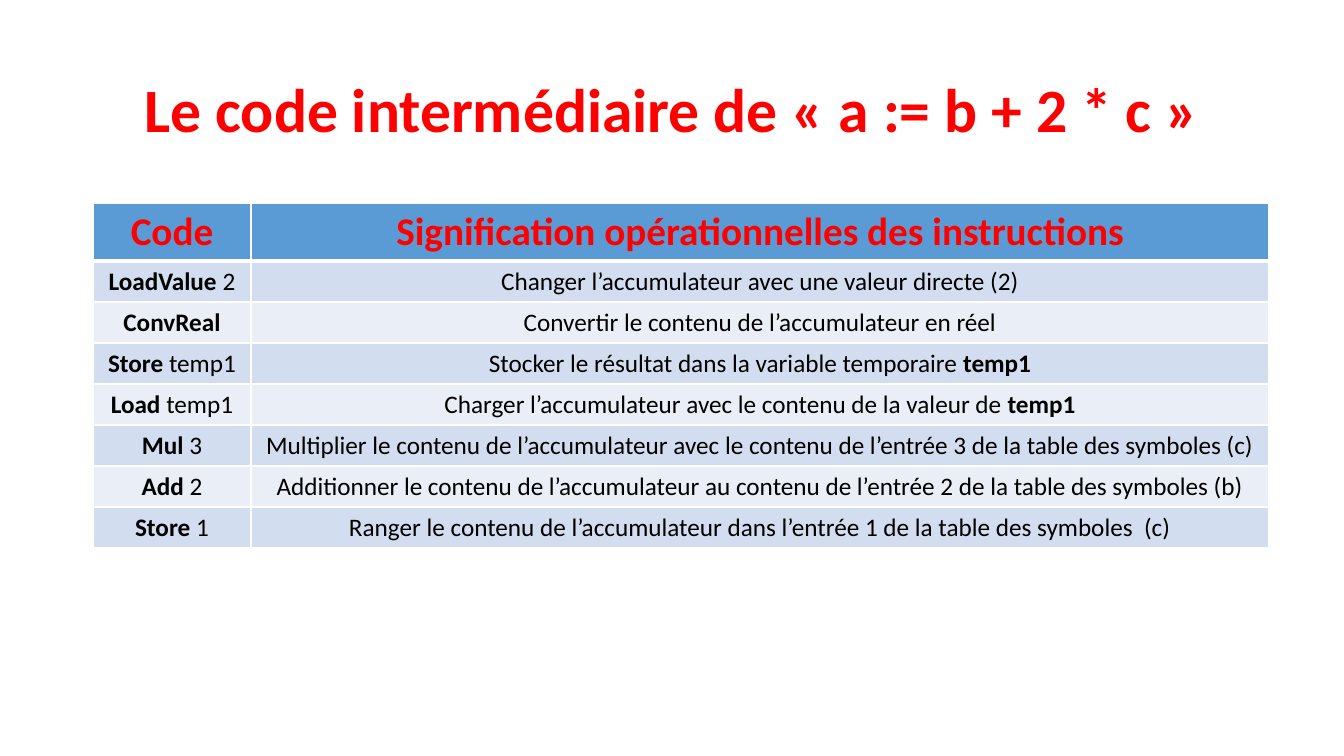
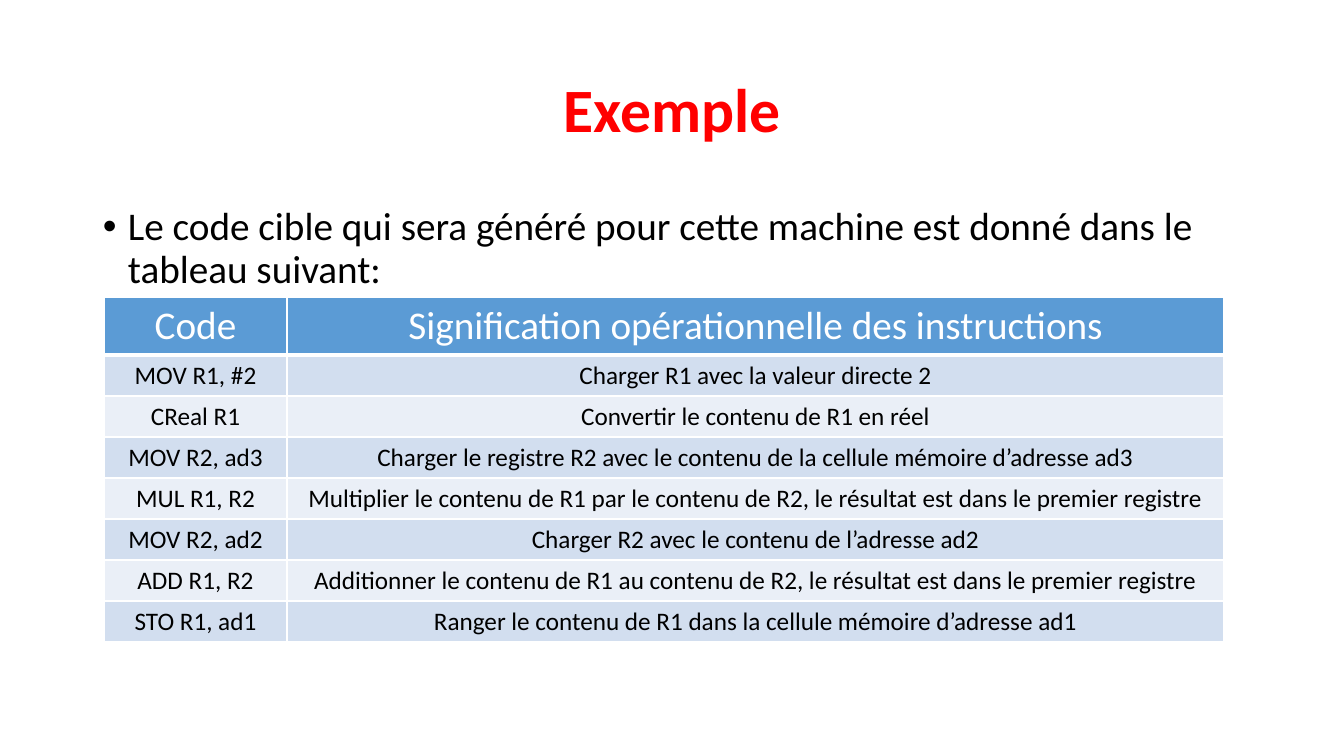
from dataclasses import dataclass

from lxml.etree import SubElement
from pptx import Presentation
from pptx.dml.color import RGBColor
from pptx.enum.text import MSO_ANCHOR, PP_ALIGN
from pptx.oxml.ns import qn
from pptx.slide import Slide
from pptx.table import _Cell
from pptx.text.text import TextFrame, _Paragraph
from pptx.util import Emu, Pt

PIXELS_PER_INCH = 100.8
FONT = "Calibri"
RED, WHITE, BLACK = "FF0000", "FFFFFF", "000000"
HEADER_BLUE = "5B9BD5"
BAND_FILLS = ("D2DEEF", "EAEFF7")
TITLE_SIZE, LEAD_SIZE, CELL_SIZE = 44, 28, 18
HEADER_HEIGHT, ROW_HEIGHT = 58, 41
THIN_RULE, HEADER_RULE = 1, 3


@dataclass(frozen=True)
class Box:
    """A place on the slide, in pixels."""
    left: int
    top: int
    width: int
    height: int

    def emu(self) -> tuple[Emu, Emu, Emu, Emu]:
        """Return the place in EMU."""
        return px(self.left), px(self.top), px(self.width), px(self.height)


@dataclass(frozen=True)
class Instruction:
    """One line of code and what it does; ** marks off bold words."""
    code: str
    meaning: str


@dataclass(frozen=True)
class CodeTable:
    """A table of instructions under a header row."""
    left: int
    top: int
    column_widths: tuple[int, int]
    header: Instruction
    header_color: str
    instructions: tuple[Instruction, ...]


@dataclass(frozen=True)
class CodeSlide:
    """A titled slide with a code table and perhaps a lead sentence."""
    title: str
    table: CodeTable
    lead: str = ""


TITLE_BOX = Box(93, 40, 1159, 146)
LEAD_BOX = Box(93, 202, 1159, 90)

SLIDES = (
    CodeSlide(
        title="**Le code intermédiaire de «\u00a0a := b + 2 * c\u00a0»**",
        table=CodeTable(
            93, 203, (158, 1018),
            Instruction("**Code**", "**Signification opérationnelles des instructions**"),
            RED,
            (
                Instruction("**LoadValue **2", "Changer l’accumulateur avec une valeur directe (2)"),
                Instruction("**ConvReal**", "Convertir le contenu de l’accumulateur en réel"),
                Instruction("**Store **temp1",
                            "Stocker le résultat dans la variable temporaire **temp1**"),
                Instruction("**Load **temp1",
                            "Charger l’accumulateur avec le contenu de la valeur de **temp1**"),
                Instruction("**Mul **3", "Multiplier le contenu de l’accumulateur avec le contenu "
                                         "de l’entrée 3 de la table des symboles (c)"),
                Instruction("**Add **2", "Additionner le contenu de l’accumulateur au contenu "
                                         "de l’entrée 2 de la table des symboles (b)"),
                Instruction("**Store **1", "Ranger le contenu de l’accumulateur dans l’entrée 1 "
                                           "de la table des symboles  (c)"),
            ),
        ),
    ),
    CodeSlide(
        title="**Exemple**",
        lead="Le code cible qui sera généré pour cette machine est donné dans le tableau suivant:",
        table=CodeTable(
            104, 297, (183, 937),
            Instruction("Code", "Signification opérationnelle des instructions"),
            WHITE,
            (
                Instruction("MOV R1, #2", "Charger R1 avec la valeur directe 2"),
                Instruction("CReal R1", "Convertir le contenu de R1 en réel"),
                Instruction("MOV R2, ad3", "Charger le registre R2 avec le contenu "
                                           "de la cellule mémoire d’adresse ad3"),
                Instruction("MUL R1, R2", "Multiplier le contenu de R1 par le contenu de R2, "
                                          "le résultat est dans le premier registre"),
                Instruction("MOV R2, ad2", "Charger R2 avec le contenu de l’adresse ad2"),
                Instruction("ADD R1, R2", "Additionner le contenu de R1 au contenu de R2, "
                                          "le résultat est dans le premier registre"),
                Instruction("STO R1, ad1", "Ranger le contenu de R1 dans la cellule mémoire "
                                           "d’adresse ad1"),
            ),
        ),
    ),
)


def px(pixels: float) -> Emu:
    """Turn pixels into EMU."""
    return Emu(round(pixels * 914400 / PIXELS_PER_INCH))


def rgb(color: str) -> RGBColor:
    """Turn a hex string into a colour."""
    return RGBColor.from_string(color)


def write(frame: TextFrame, text: str, *, size: float, color: str = BLACK,
          align: PP_ALIGN = PP_ALIGN.CENTER, line_spacing: float = 1.0,
          space_before: float = 0) -> _Paragraph:
    """Write one paragraph, with the words between ** marks in bold."""
    paragraph = frame.paragraphs[0]
    paragraph.alignment = align
    paragraph.line_spacing = line_spacing
    paragraph.space_before = Pt(space_before)
    for position, words in enumerate(text.split("**")):
        if words:
            run = paragraph.add_run()
            run.text = words
            run.font.name = FONT
            run.font.size = Pt(size)
            run.font.bold = position % 2 == 1
            run.font.color.rgb = rgb(color)
    return paragraph


def add_bullet(paragraph: _Paragraph, indent: int) -> None:
    """Give a paragraph a round bullet with a hanging indent."""
    properties = paragraph._p.get_or_add_pPr()
    properties.set("marL", str(px(indent)))
    properties.set("indent", str(-px(indent)))
    SubElement(properties, qn("a:buFont")).set("typeface", "Arial")
    SubElement(properties, qn("a:buChar")).set("char", "•")


def add_title(slide: Slide, title: str) -> None:
    """Place and fill the title placeholder."""
    heading = slide.shapes.title
    heading.left, heading.top, heading.width, heading.height = TITLE_BOX.emu()
    heading.text_frame.vertical_anchor = MSO_ANCHOR.MIDDLE
    write(heading.text_frame, title, size=TITLE_SIZE, color=RED, line_spacing=0.9)


def add_lead(slide: Slide, lead: str) -> None:
    """Add the bulleted sentence that introduces the table."""
    frame = slide.shapes.add_textbox(*LEAD_BOX.emu()).text_frame
    frame.word_wrap = True
    sentence = write(frame, lead, size=LEAD_SIZE, align=PP_ALIGN.LEFT,
                     line_spacing=0.9, space_before=10)
    add_bullet(sentence, 25)


def add_borders(cell: _Cell, top: float, bottom: float) -> None:
    """Draw white rules round a cell; widths are in points."""
    properties = cell._tc.get_or_add_tcPr()
    widths = {"lnL": THIN_RULE, "lnR": THIN_RULE, "lnT": top, "lnB": bottom}
    for side, width in widths.items():
        rule = SubElement(properties, qn(f"a:{side}"), w=str(Pt(width)))
        fill = SubElement(rule, qn("a:solidFill"))
        SubElement(fill, qn("a:srgbClr")).set("val", WHITE)


def add_code_table(slide: Slide, content: CodeTable) -> None:
    """Add a header row and one banded row for each instruction."""
    lines = (content.header, *content.instructions)
    height = HEADER_HEIGHT + ROW_HEIGHT * len(content.instructions)
    place = Box(content.left, content.top, sum(content.column_widths), height)
    table = slide.shapes.add_table(len(lines), 2, *place.emu()).table
    for column, width in zip(table.columns, content.column_widths):
        column.width = px(width)
    for index, line in enumerate(lines):
        is_header = index == 0
        table.rows[index].height = px(HEADER_HEIGHT if is_header else ROW_HEIGHT)
        fill = HEADER_BLUE if is_header else BAND_FILLS[(index - 1) % 2]
        for cell, text in zip(table.rows[index].cells, (line.code, line.meaning)):
            add_borders(cell, top=HEADER_RULE if index == 1 else THIN_RULE,
                        bottom=HEADER_RULE if is_header else THIN_RULE)
            cell.fill.solid()
            cell.fill.fore_color.rgb = rgb(fill)
            write(cell.text_frame, text, size=LEAD_SIZE if is_header else CELL_SIZE,
                  color=content.header_color if is_header else BLACK)


def main() -> None:
    """Build and save the presentation."""
    presentation = Presentation()
    presentation.slide_width, presentation.slide_height = px(1344), px(756)
    title_only = presentation.slide_layouts[5]
    for content in SLIDES:
        slide = presentation.slides.add_slide(title_only)
        add_title(slide, content.title)
        if content.lead:
            add_lead(slide, content.lead)
        add_code_table(slide, content.table)
    presentation.save("out.pptx")


main()
